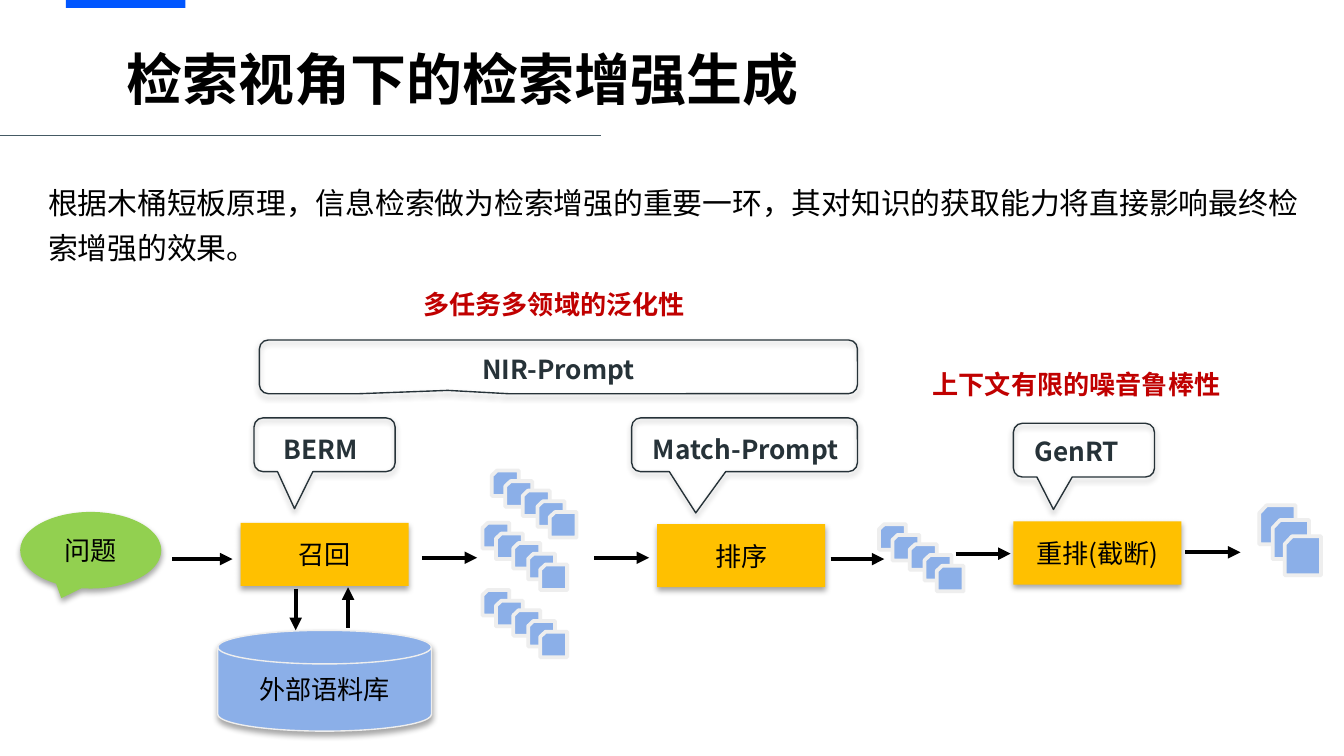
"""Build the slide on retrieval-augmented generation seen from retrieval."""
from lxml.etree import SubElement
from pptx import Presentation
from pptx.dml.color import RGBColor
from pptx.enum.shapes import MSO_CONNECTOR, MSO_SHAPE
from pptx.enum.text import MSO_ANCHOR, MSO_AUTO_SIZE, PP_ALIGN
from pptx.oxml import parse_xml
from pptx.oxml.ns import nsdecls, qn
from pptx.util import Pt

PX = 9144
FONT = "Noto Sans CJK SC"
BLACK = RGBColor(0, 0, 0)
BLUE = RGBColor(0x00, 0x56, 0xFF)
SLATE = RGBColor(0x45, 0x5A, 0x64)
DARK = RGBColor(0x26, 0x32, 0x38)
RED = RGBColor(0xC0, 0x00, 0x00)
GOLD = RGBColor(0xFF, 0xC0, 0x00)
GREEN = RGBColor(0x92, 0xD0, 0x50)
SKY = RGBColor(0x8B, 0xAF, 0xE8)
PALE = RGBColor(0xEE, 0xEE, 0xEE)
SHADOW = (
    f'<a:effectLst {nsdecls("a")}><a:outerShdw blurRad="40000" dist="23000" '
    'dir="5400000" rotWithShape="0"><a:srgbClr val="000000">'
    '<a:alpha val="35000"/></a:srgbClr></a:outerShdw></a:effectLst>'
)

deck = Presentation()
deck.slide_width = 1000 * PX
deck.slide_height = deck.slide_width * 9 // 16
slide = deck.slides.add_slide(deck.slide_layouts[5])
shapes = slide.shapes


def write(frame, text, size, color=BLACK, bold=False, space=1.0, align=PP_ALIGN.LEFT):
    frame.word_wrap = True
    para = frame.paragraphs[0]
    para.alignment, para.line_spacing = align, space
    run = para.add_run()
    run.text = text
    font = run.font
    font.size, font.bold = Pt(size), bold
    font.color.rgb = color
    font.name = FONT
    SubElement(font._element, qn("a:ea")).set("typeface", FONT)


def draw(kind, box, fill=None, line=None, width=0.75, shade=False):
    shape = shapes.add_shape(kind, *(n * PX for n in box))
    shape.shadow.inherit = False
    if fill is None:
        shape.fill.background()
    else:
        shape.fill.solid()
        shape.fill.fore_color.rgb = fill
    if line is None:
        shape.line.fill.background()
    else:
        shape.line.color.rgb = line
        shape.line.width = Pt(width)
    if shade:
        props = shape._element.spPr
        props.replace(props.find(qn("a:effectLst")), parse_xml(SHADOW))
    return shape


title = shapes.title
title.left, title.top, title.width, title.height = (n * PX for n in (84, 10, 630, 83))
frame = title.text_frame
frame.auto_size = MSO_AUTO_SIZE.NONE
frame.vertical_anchor = MSO_ANCHOR.BOTTOM
frame.margin_left = frame.margin_right = frame.margin_top = frame.margin_bottom = 10 * PX
write(frame, "检索视角下的检索增强生成", 30, bold=True)

draw(MSO_SHAPE.RECTANGLE, (49, 0, 89, 6), BLUE)

nodes = [
    (MSO_SHAPE.RECTANGLE, (179, 389, 125, 47), GOLD, None, "召回"),
    (MSO_SHAPE.RECTANGLE, (489, 390, 125, 47), GOLD, None, "排序"),
    (MSO_SHAPE.RECTANGLE, (754, 388, 125, 47), GOLD, None, "重排(截断)"),
    (MSO_SHAPE.FLOWCHART_MAGNETIC_DISK, (162, 469, 159, 75), SKY, PALE, "外部语料库"),
    (MSO_SHAPE.OVAL_CALLOUT, (15, 381, 105, 57), GREEN, None, "问题"),
]
for kind, box, fill, line, text in nodes:
    node = draw(kind, box, fill, line, shade=True)
    frame = node.text_frame
    frame.vertical_anchor = MSO_ANCHOR.MIDDLE
    frame.margin_left = frame.margin_right = 12 * PX
    write(frame, text, 14, align=PP_ALIGN.CENTER)

steps = list(zip((0, 10, 23, 34, 43), (0, 8, 15, 23, 31)))
large = [(0, 0), (10, 11), (19, 23)]
stacks = [
    (366, 350, 20, 19, steps),
    (359, 389, 20, 19, steps),
    (359, 439, 20, 19, steps),
    (654, 390, 20, 19, steps),
    (937, 376, 27, 29, large),
]
for left, top, wide, high, moves in stacks:
    for dx, dy in moves:
        draw(MSO_SHAPE.FLOWCHART_CARD, (left + dx, top + dy, wide, high), SKY, PALE, 2)

bubbles = [
    ((189, 311, 105, 40), -0.213, 1.189),
    ((470, 311, 168, 40), -0.216, 1.267),
    ((754, 315, 105, 40), -0.216, 1.104),
    ((193, 253, 445, 40), -0.185, 0.438),
]
for box, tipx, tipy in bubbles:
    bubble = draw(MSO_SHAPE.ROUNDED_RECTANGULAR_CALLOUT, box, None, DARK, shade=True)
    bubble.adjustments[0] = tipx
    bubble.adjustments[1] = tipy

lines = [
    (-13, 101, 447, 101, SLATE, 0.75),
    (128, 416, 173, 416, BLACK, 2.25),
    (314, 415, 355, 415, BLACK, 2.25),
    (442, 415, 483, 415, BLACK, 2.25),
    (618, 416, 658, 416, BLACK, 2.25),
    (711, 412, 752, 412, BLACK, 2.25),
    (882, 411, 923, 411, BLACK, 2.25),
    (220, 438, 220, 469, BLACK, 2.25),
    (259, 467, 259, 437, BLACK, 2.25),
]
for *ends, color, width in lines:
    link = shapes.add_connector(MSO_CONNECTOR.STRAIGHT, *(n * PX for n in ends))
    link.line.color.rgb = color
    link.line.width = Pt(width)
    if color == BLACK:
        SubElement(link.line._get_or_add_ln(), qn("a:tailEnd")).set("type", "triangle")
    SubElement(link._element.spPr, qn("a:effectLst"))

intro = "根据木桶短板原理，信息检索做为检索增强的重要一环，其对知识的获取能力将直接影响最终检索增强的效果。"
labels = [
    ((26, 126, 960, 74), intro, 16, BLACK, False, 1.25),
    ((305, 207, 382, 38), "多任务多领域的泛化性", 14, RED, True, 1.1),
    ((684, 267, 239, 38), "上下文有限的噪音鲁棒性", 14, RED, True, 1.1),
    ((349, 256, 158, 40), "NIR-Prompt", 14, DARK, True, 1.1),
    ((201, 315, 99, 25), "BERM", 14, DARK, True, 1.1),
    ((476, 315, 172, 25), "Match-Prompt", 14, DARK, True, 1.1),
    ((760, 317, 94, 27), "GenRT", 14, DARK, True, 1.1),
]
for box, *style in labels:
    label = shapes.add_textbox(*(n * PX for n in box))
    write(label.text_frame, *style)

deck.save("out.pptx")
